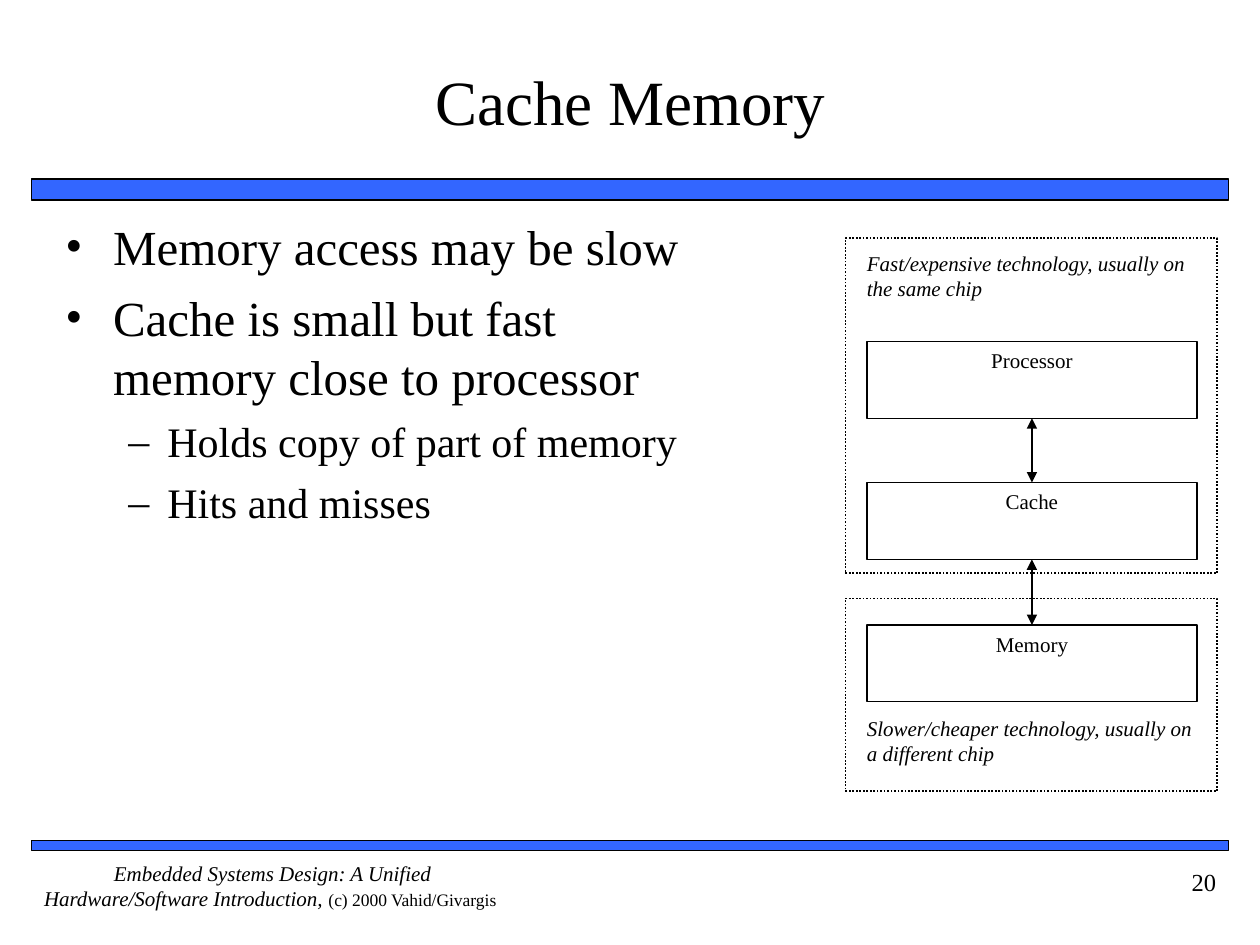
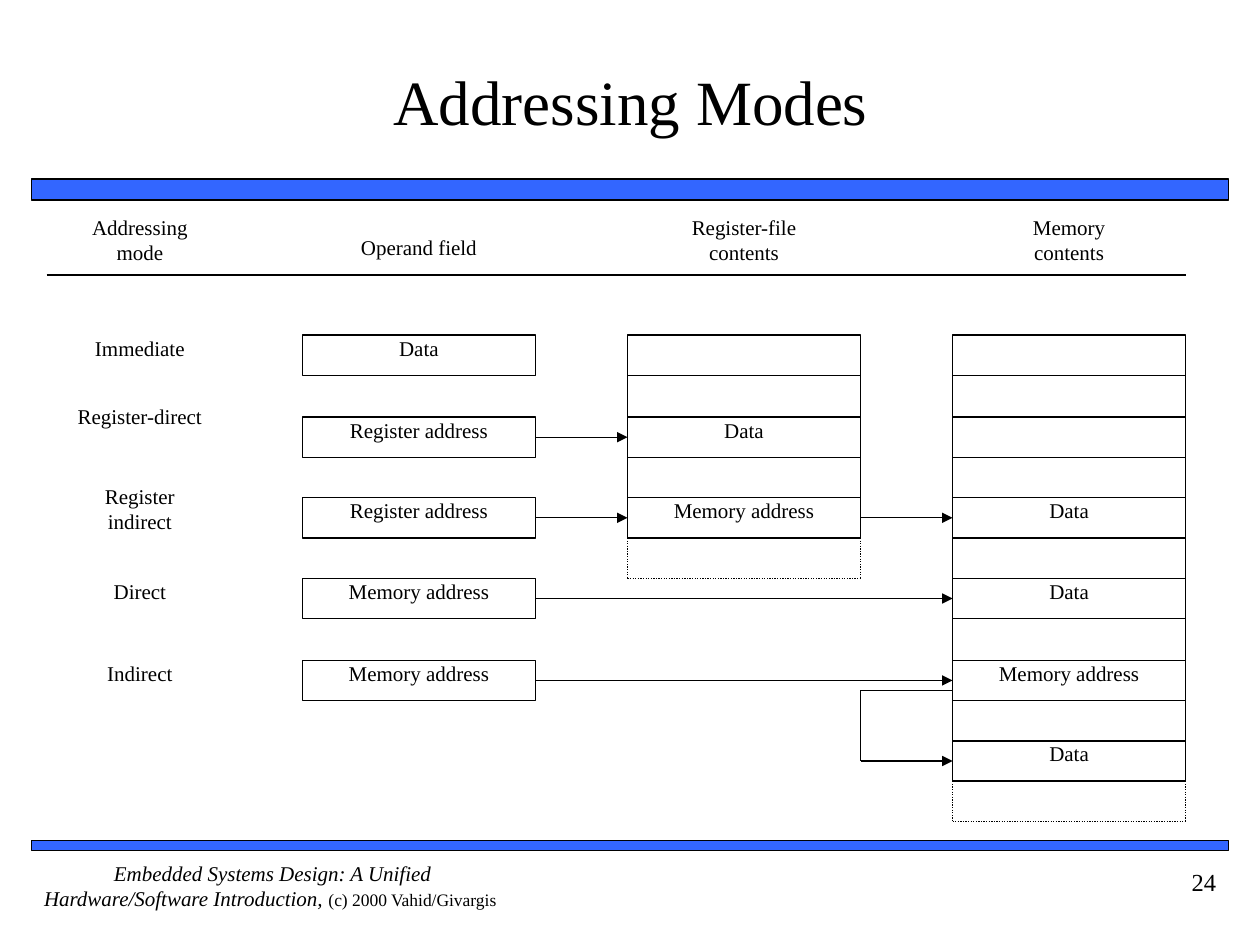
from dataclasses import dataclass
from typing import Any, Optional

from pptx import Presentation
from pptx.dml.color import RGBColor
from pptx.enum.dml import MSO_LINE
from pptx.enum.shapes import MSO_CONNECTOR, MSO_SHAPE
from pptx.enum.text import MSO_ANCHOR, PP_ALIGN
from pptx.oxml.ns import qn
from pptx.util import Emu, Pt
from lxml.etree import SubElement

SCALE = 9144
FONT = "Times New Roman"
INK, BLUE, WHITE = "000000", "3366FF", "FFFFFF"
LEFT, MID, RIGHT = PP_ALIGN.LEFT, PP_ALIGN.CENTER, PP_ALIGN.RIGHT
TOP, WEST, BASE, EAST = 0, 1, 2, 3


@dataclass(frozen=True)
class Box:
    x: int
    y: int
    w: int
    h: int
    text: str = ""
    size: int = 12
    slant: bool = False
    align: PP_ALIGN = MID
    pad: tuple[int, int] = (0, 0)
    anchor: MSO_ANCHOR = MSO_ANCHOR.TOP
    fill: Optional[str] = None
    edge: float = 0
    dots: bool = False


@dataclass(frozen=True)
class Point:
    text: str
    size: int
    mark: str
    indent: int
    hang: int
    gap: int


def px(size: float) -> Emu:
    return Emu(round(size * SCALE))


def paint(code: str) -> RGBColor:
    return RGBColor.from_string(code)


def assign(target: Any, values: dict[str, Any]) -> None:
    for name, value in values.items():
        setattr(target, name, value)


def add_run(para: Any, text: str, size: int, slant: bool = False) -> None:
    run = para.add_run()
    run.text = text
    assign(run.font, {"name": FONT, "size": Pt(size), "italic": slant})
    run.font.color.rgb = paint(INK)


def stroke(line: Any, weight: float, dots: bool = False) -> None:
    line.color.rgb = paint(INK)
    line.width = Pt(weight)
    if dots:
        line.dash_style = MSO_LINE.ROUND_DOT


def draw(slide: Any, box: Box) -> Any:
    place = [px(n) for n in (box.x, box.y, box.w, box.h)]
    if box.edge:
        shape = slide.shapes.add_shape(MSO_SHAPE.RECTANGLE, *place)
        shape.shadow.inherit = False
        stroke(shape.line, box.edge, box.dots)
        if box.fill:
            shape.fill.solid()
            shape.fill.fore_color.rgb = paint(box.fill)
        else:
            shape.fill.background()
    else:
        shape = slide.shapes.add_textbox(*place)
    frame = shape.text_frame
    across, down = (px(n) for n in box.pad)
    assign(frame, {
        "word_wrap": True, "vertical_anchor": box.anchor,
        "margin_left": across, "margin_right": across,
        "margin_top": down, "margin_bottom": down,
    })
    if box.text:
        for row, text in enumerate(box.text.split("\n")):
            para = frame.add_paragraph() if row else frame.paragraphs[0]
            para.alignment = box.align
            add_run(para, text, box.size, box.slant)
    return shape


def link(slide: Any, start: tuple[int, int], end: tuple[int, int],
         weight: float = 0.75, heads: tuple[str, ...] = (),
         dots: bool = False) -> Any:
    wire = slide.shapes.add_connector(
        MSO_CONNECTOR.STRAIGHT, *(px(n) for n in (*start, *end)))
    stroke(wire.line, weight, dots)
    edge = wire.line._get_or_add_ln()
    for head in heads:
        SubElement(edge, qn(f"a:{head}"), type="triangle")
    SubElement(wire._element.spPr, qn("a:effectLst"))
    return wire


def join(slide: Any, first: Any, out: int, last: Any, into: int,
         heads: tuple[str, ...] = ("tailEnd",)) -> None:
    wire = link(slide, (0, 0), (0, 0), heads=heads)
    wire.begin_connect(first, out)
    wire.end_connect(last, into)


def start_slide(deck: Any, title: str, number: int) -> Any:
    slide = deck.slides.add_slide(deck.slide_layouts[6])
    for y, h in ((142, 17), (667, 8)):
        draw(slide, Box(25, y, 950, h, fill=BLUE, edge=1))
    credit = draw(slide, Box(
        25, 683, 383, 50, slant=True,
        text="Embedded Systems Design: A Unified Hardware/Software Introduction, "))
    for text, size in (("(c) 2000 Vahid/Givargis", 10), (" ", 12)):
        add_run(credit.text_frame.paragraphs[0], text, size)
    draw(slide, Box(875, 683, 100, 50, str(number), 14, align=RIGHT, pad=(10, 5)))
    draw(slide, Box(42, 17, 917, 125, title, 36, pad=(0, 5),
                    anchor=MSO_ANCHOR.MIDDLE))
    return slide


def add_points(slide: Any, points: list[Point]) -> None:
    frame = draw(slide, Box(42, 167, 517, 492, pad=(10, 5))).text_frame
    for row, point in enumerate(points):
        para = frame.add_paragraph() if row else frame.paragraphs[0]
        props = para._p.get_or_add_pPr()
        props.set("marL", str(px(point.indent)))
        props.set("indent", str(-px(point.hang)))
        SubElement(SubElement(props, qn("a:buClr")), qn("a:srgbClr"), val=INK)
        SubElement(props, qn("a:buFont"), typeface=FONT)
        SubElement(props, qn("a:buChar"), char=point.mark)
        if row:
            para.space_before = Pt(point.gap)
        add_run(para, point.text, point.size)


def cache_slide(deck: Any) -> None:
    slide = start_slide(deck, "Cache Memory", 20)
    major = {"size": 28, "mark": "•", "indent": 38, "hang": 38, "gap": 7}
    minor = {"size": 24, "mark": "–", "indent": 81, "hang": 31, "gap": 6}
    add_points(slide, [
        Point("Memory access may be slow", **major),
        Point("Cache is small but fast memory close to processor", **major),
        Point("Holds copy of part of memory", **minor),
        Point("Hits and misses", **minor),
    ])
    for y, h in ((475, 153), (189, 266)):
        draw(slide, Box(671, y, 295, h, fill=WHITE, edge=1, dots=True))
    units = [
        draw(slide, Box(688, y, 262, 61, name, pad=(10, 5), fill=WHITE, edge=0.75))
        for name, y in (("Processor", 271), ("Cache", 383), ("Memory", 496))]
    for upper, lower in zip(units, units[1:]):
        join(slide, upper, BASE, lower, TOP, ("headEnd", "tailEnd"))
    for y, note in (
            (199, "Fast/expensive technology, usually on the same chip"),
            (568, "Slower/cheaper technology, usually on a different chip")):
        draw(slide, Box(688, y, 262, 61, note, slant=True, align=LEFT))


MODE_X, FIELD_X, FILE_X, STORE_X = 37, 240, 498, 756
MODE_W, CELL_W, CELL_H = 148, 185, 32


def row_y(row: int) -> int:
    return round(266.2 + 32.18 * row)


def add_stack(slide: Any, x: int, count: int, words: dict[int, str]) -> dict[int, Any]:
    end, top, base, tip = x + CELL_W, row_y(0), row_y(count), row_y(count + 1)
    draw(slide, Box(x, top, CELL_W, base - top, edge=0.75))
    for row in range(1, count):
        link(slide, (x, row_y(row)), (end, row_y(row)))
    for start, stop in (((x, base), (x, tip)), ((end, base), (end, tip)),
                        ((x, tip), (end, tip))):
        link(slide, start, stop, dots=True)
    return {row: draw(slide, Box(x, row_y(row), CELL_W, CELL_H, text))
            for row, text in words.items()}


def modes_slide(deck: Any) -> None:
    slide = start_slide(deck, "Addressing Modes", 24)
    for x, y, w, h, head in (
            (MODE_X, 170, MODE_W, 48, "Addressing\nmode"),
            (FIELD_X, 186, CELL_W, 32, "Operand field"),
            (FILE_X, 170, CELL_W, 48, "Register-file\ncontents"),
            (STORE_X, 170, CELL_W, 48, "Memory\ncontents")):
        draw(slide, Box(x, y, w, h, head))
    link(slide, (MODE_X, 218), (STORE_X + CELL_W, 218), 1)

    for y, h, pad, mode in (
            (266, 32, 0, "Immediate"), (315, 64, 5, "Register-direct"),
            (379, 64, 5, "Register\nindirect"),
            (459, 32, 0, "Direct"), (524, 32, 0, "Indirect")):
        draw(slide, Box(MODE_X, y, MODE_W, h, mode, pad=(0, pad)))

    fields = [
        draw(slide, Box(FIELD_X, row_y(2 * step), CELL_W, CELL_H, text,
                        fill=WHITE, edge=0.75))
        for step, text in enumerate((
            "Data", "Register address", "Register address",
            "Memory address", "Memory address"))]
    file = add_stack(slide, FILE_X, 5, {2: "Data", 4: "Memory address"})
    store = add_stack(slide, STORE_X, 11, {
        4: "Data", 6: "Data", 8: "Memory address", 10: "Data"})

    for first, last in (
            (fields[1], file[2]), (fields[2], file[4]), (file[4], store[4]),
            (fields[3], store[6]), (fields[4], store[8])):
        join(slide, first, EAST, last, WEST)

    bend = FILE_X + CELL_W
    high, low = row_y(8) + 24, row_y(10) + 16
    link(slide, (STORE_X, high), (bend, high))
    link(slide, (bend, high), (bend, low))
    wire = link(slide, (bend, low), (STORE_X, low), heads=("tailEnd",))
    wire.end_connect(store[10], WEST)


def main() -> None:
    deck = Presentation()
    assign(deck, {"slide_width": px(1000), "slide_height": px(750)})
    cache_slide(deck)
    modes_slide(deck)
    deck.save("out.pptx")


if __name__ == "__main__":
    main()
